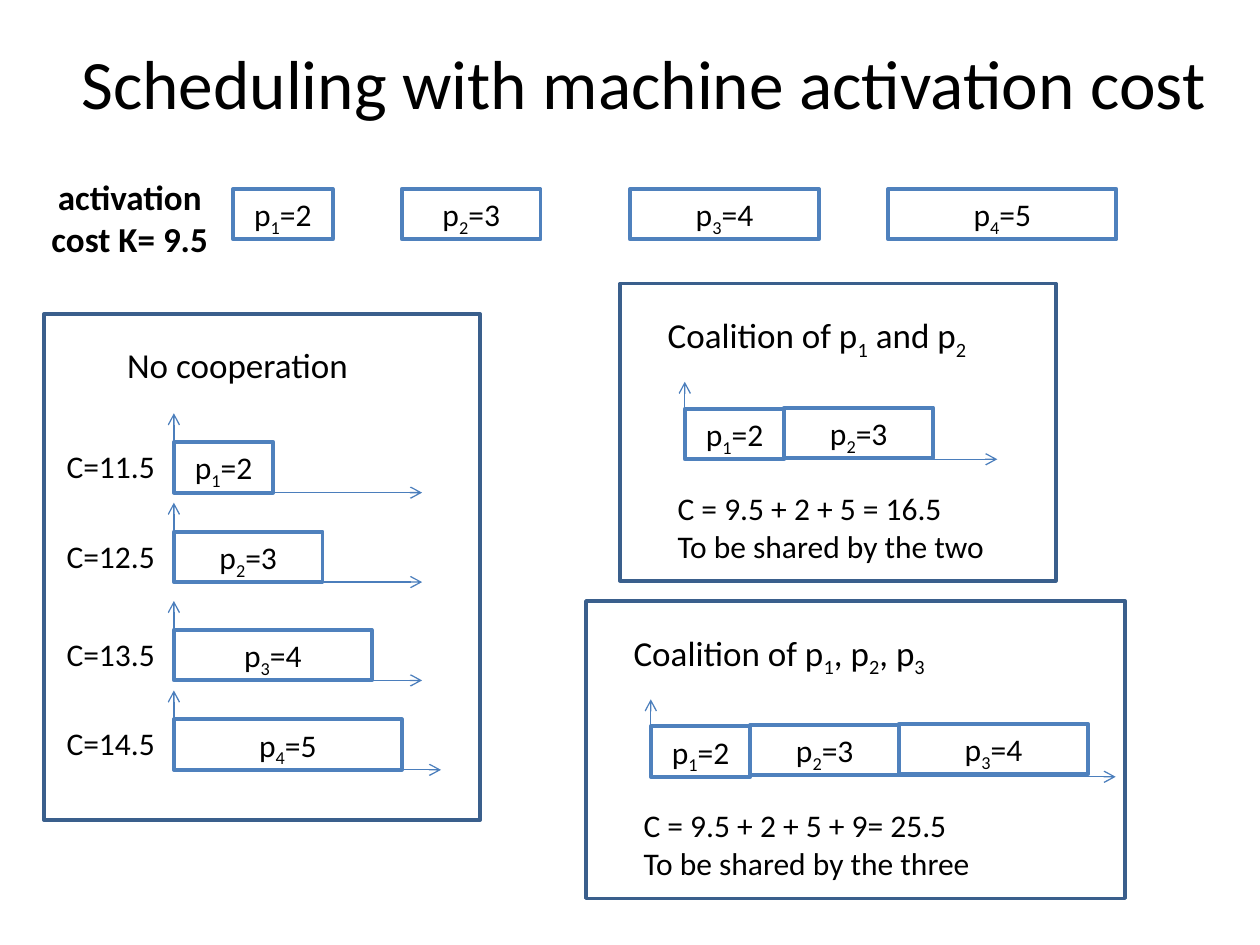
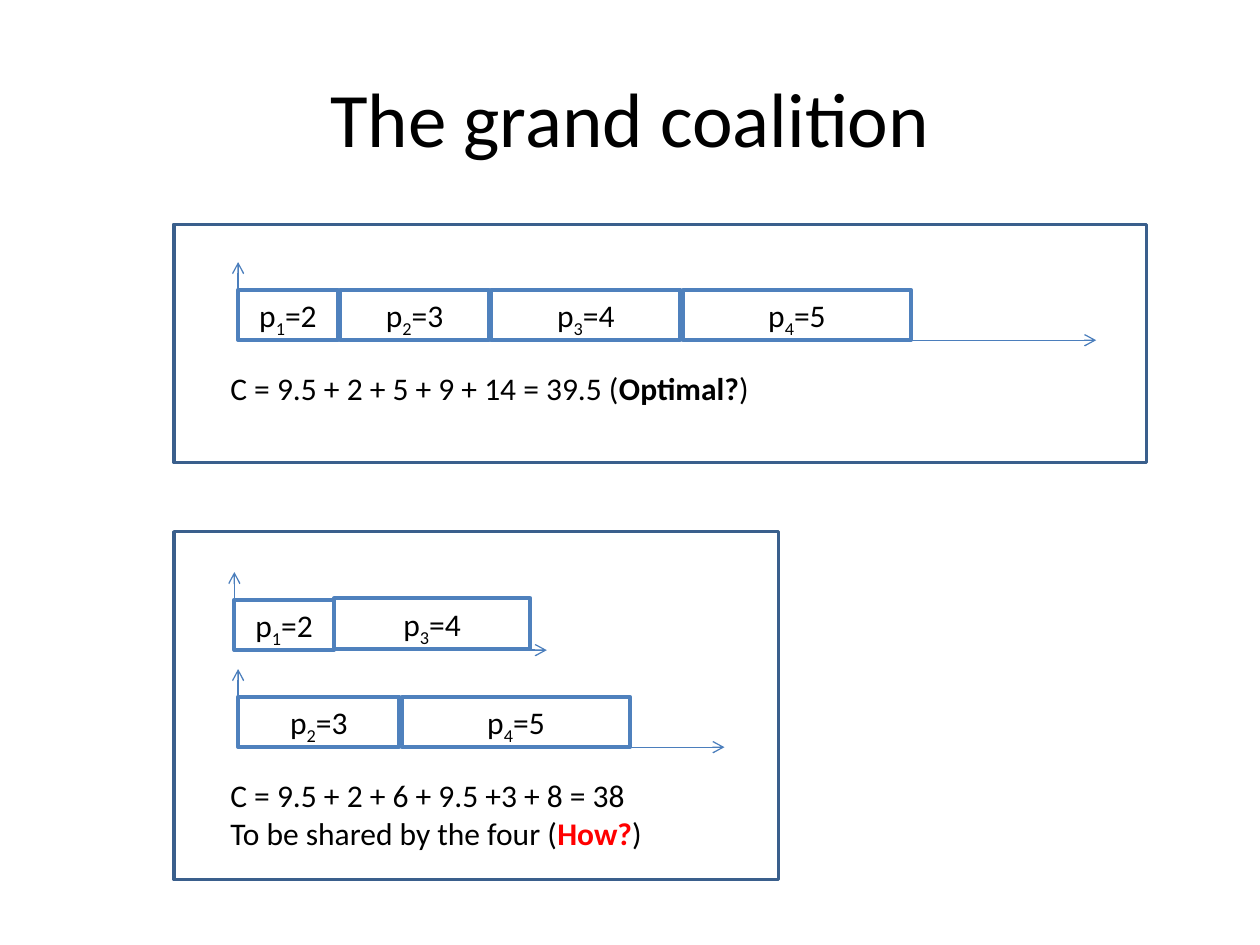
"""Two slides on sharing the cost of scheduling with machine activation."""
from dataclasses import dataclass

from lxml import etree
from pptx import Presentation
from pptx import util as u
from pptx.dml.color import RGBColor
from pptx.enum import shapes, text
from pptx.oxml import ns

COLS, ROWS = 100, 75
UNIT = u.Inches(10) // COLS


@dataclass(frozen=True)
class Theme:
    """Colours, font, type sizes and line widths of the deck."""
    font: str = "Calibri"
    ink: str = "000000"
    alert: str = "FF0000"
    job: str = "4F81BD"
    axis: str = "4B7EBC"
    frame: str = "3A5F8C"
    title: float = 44
    head: float = 20
    body: float = 18
    thick: float = 2.25
    edge: float = 2
    thin: float = 0.75


@dataclass(frozen=True)
class Box:
    """A rectangle in grid columns and rows."""
    x: float
    y: float
    w: float
    h: float

    def sub(self, dx, dy, w, h):
        """Return a box placed from this box's top left corner."""
        return Box(self.x + dx, self.y + dy, w, h)

    def emu(self):
        """Return left, top, width and height as slide lengths."""
        return [round(v * UNIT) for v in (self.x, self.y, self.w, self.h)]


T = Theme()
COST = 9.5
TIMES = {1: 2, 2: 3, 3: 4, 4: 5}
WIDTHS = {1: 7.9, 2: 11.8, 3: 15, 4: 18.1}
JOB_H = 4


def rgb(code):
    """Turn a hex code into a colour."""
    return RGBColor.from_string(code)


def write(frame, lines, size, align=None, bold=None, grow=True):
    """Fill a text frame; in a line, | parts runs, _ lowers, * bolds, ! alerts."""
    frame.word_wrap = True
    frame.vertical_anchor = (text.MSO_ANCHOR.TOP if grow
                             else text.MSO_ANCHOR.MIDDLE)
    if grow:
        frame.auto_size = text.MSO_AUTO_SIZE.SHAPE_TO_FIT_TEXT
    for i, line in enumerate(lines):
        para = frame.add_paragraph() if i else frame.paragraphs[0]
        para.alignment = align
        font = para.font
        font.name, font.size, font.bold = T.font, u.Pt(size), bold
        font.color.rgb = rgb(T.ink)
        for part in line.split("|"):
            run = para.add_run()
            mark = part[0] if part[0] in "_*!" else ""
            run.text = part[len(mark):]
            if mark == "_":
                run.font._element.set("baseline", "-25000")
            elif mark:
                run.font.bold = True
            if mark == "!":
                run.font.color.rgb = rgb(T.alert)


def label(pen, box, *lines, size=T.body, **style):
    """Place a text box."""
    write(pen.add_textbox(*box.emu()).text_frame, lines, size, **style)


def outline(pen, box, color, width):
    """Draw an unfilled rectangle."""
    rect = pen.add_shape(shapes.MSO_SHAPE.RECTANGLE, *box.emu())
    rect.shadow.inherit = False
    rect.fill.background()
    rect.line.color.rgb = rgb(color)
    rect.line.width = u.Pt(width)
    return rect


def border(pen, box):
    """Draw the border of a panel."""
    outline(pen, box, T.frame, T.edge)


def job(pen, box, num):
    """Draw one job with its processing time."""
    rect = outline(pen, box, T.job, T.thick)
    write(rect.text_frame, [f"p|_{num}|={TIMES[num]}"], T.body,
          text.PP_ALIGN.CENTER)


def arrow(pen, x1, y1, x2, y2, end):
    """Draw a thin axis line with its arrowhead at the named end."""
    line = pen.add_connector(shapes.MSO_CONNECTOR.STRAIGHT,
                             *(round(v * UNIT) for v in (x1, y1, x2, y2)))
    line.line.color.rgb = rgb(T.axis)
    line.line.width = u.Pt(T.thin)
    prop = line._element.spPr
    etree.SubElement(prop.find(ns.qn("a:ln")), ns.qn("a:" + end), type="arrow")
    etree.SubElement(prop, ns.qn("a:effectLst"))


def chart(pen, box, nums, skip=5.1, gap=0, lift=0, widths=WIDTHS):
    """Draw a machine's two axes, filling the box, and its jobs in a row."""
    base = box.y + box.h
    arrow(pen, box.x, box.y, box.x, base, "headEnd")
    arrow(pen, box.x + skip, base, box.x + box.w, base, "tailEnd")
    x = 0
    for i, num in enumerate(nums):
        wide = widths[num]
        job(pen, box.sub(x, box.h - JOB_H - i * lift, wide, JOB_H), num)
        x += wide + gap


def title(pen, box, words, size=T.title):
    """Place the centred slide title."""
    label(pen, box, words, size=size, align=text.PP_ALIGN.CENTER, grow=False)


def legend(pen, box):
    """Show the activation cost and the four jobs."""
    label(pen, box.sub(0, 0, 15, 7.7), f"activation cost K= {COST}",
          size=T.head, align=text.PP_ALIGN.CENTER, bold=True)
    row = pen.add_group_shape().shapes
    wide = {**WIDTHS, 2: 11}
    for num, x in zip(TIMES, (15.7, 29.1, 47.2, 67.7)):
        job(row, box.sub(x, 1.6, wide[num], JOB_H), num)


def alone(pen, box):
    """Show each job on a machine of its own."""
    pen = pen.add_group_shape().shapes
    wide = {**WIDTHS, 3: 15.7}
    for i, (num, time) in enumerate(TIMES.items()):
        y = 7.9 + 14.9 * (i // 2) + 7.1 * (i % 2)
        axis = 21.2 if num == 4 else 19.7
        chart(pen, box.sub(10.3, y, axis, 6.3), [num], skip=0, widths=wide)
        label(pen, box.sub(0.8, y + 2.2, 9.4, JOB_H), f"C={COST + time}")
    label(pen, box.sub(5.6, 1.9, 22.8, 4.4), "No cooperation", size=T.head)
    border(pen, box)


def allied(pen, box, head, nums, axis, *notes):
    """Show a coalition that shares one machine."""
    pen = pen.add_group_shape().shapes
    chart(pen, box.sub(5.15, 7.8, axis, 6.15), nums, lift=0.1)
    label(pen, box.sub(3.6, 15.8, 28.7, 7), *notes)
    label(pen, box.sub(2.8, 1.9, 29.5, 4.4), head, size=T.head)
    border(pen, box)


def single(pen, box):
    """Show all four jobs on one machine."""
    pen = pen.add_group_shape().shapes
    chart(pen, box.sub(5.1, 3, 68.1, 6.2), TIMES, gap=0.2)
    label(pen, box.sub(3.5, 11, 45.8, JOB_H),
          "C = 9.5 + 2 + 5 + 9 + 14 = 39.5 (|*Optimal?|)")
    border(pen, box)


def double(pen, box):
    """Show the four jobs spread over two machines."""
    pen = pen.add_group_shape().shapes
    chart(pen, box.sub(4.8, 3.2, 24.8, 6.2), [1, 3], lift=0.1,
          widths={**WIDTHS, 3: 15.6})
    chart(pen, box.sub(5.1, 10.9, 38.6, 6.2), [2, 4], gap=0.2,
          widths={**WIDTHS, 2: 12.8})
    label(pen, box.sub(3.5, 18.9, 38.2, 7.1),
          "C = 9.5 + 2 + 6 + 9.5 +3 + 8 = 38",
          "To be shared by the four (|!How?|)")
    border(pen, box)


def costs(pen):
    """Build the slide that compares small coalitions."""
    title(pen, Box(5, 0.2, 92.2, 12.5),
          "Scheduling with machine activation cost", T.title * 0.9)
    legend(pen, Box(2.8, 13.4, 86, 7.7))
    alone(pen, Box(3.5, 24.9, 34.6, 40.2))
    allied(pen, Box(49.2, 22.5, 34.6, 23.6), "Coalition of p|_1| and p|_2",
           [1, 2], 24.8, "C = 9.5 + 2 + 5 = 16.5", "To be shared by the two")
    allied(pen, Box(46.5, 47.7, 42.8, 23.6), "Coalition of p|_1|, p|_2|, p|_3",
           [1, 2, 3], 36.9, "C = 9.5 + 2 + 5 + 9= 25.5",
           "To be shared by the three")


def grand(pen):
    """Build the slide on the coalition of all jobs."""
    title(pen, Box(5, 3, 90, 12.5), "The grand coalition")
    single(pen, Box(13.8, 17.8, 77.2, 18.9))
    double(pen, Box(13.8, 42.2, 48, 27.6))


deck = Presentation()
deck.slide_width, deck.slide_height = COLS * UNIT, ROWS * UNIT
for build in (costs, grand):
    build(deck.slides.add_slide(deck.slide_layouts[6]).shapes)
deck.save("out.pptx")
